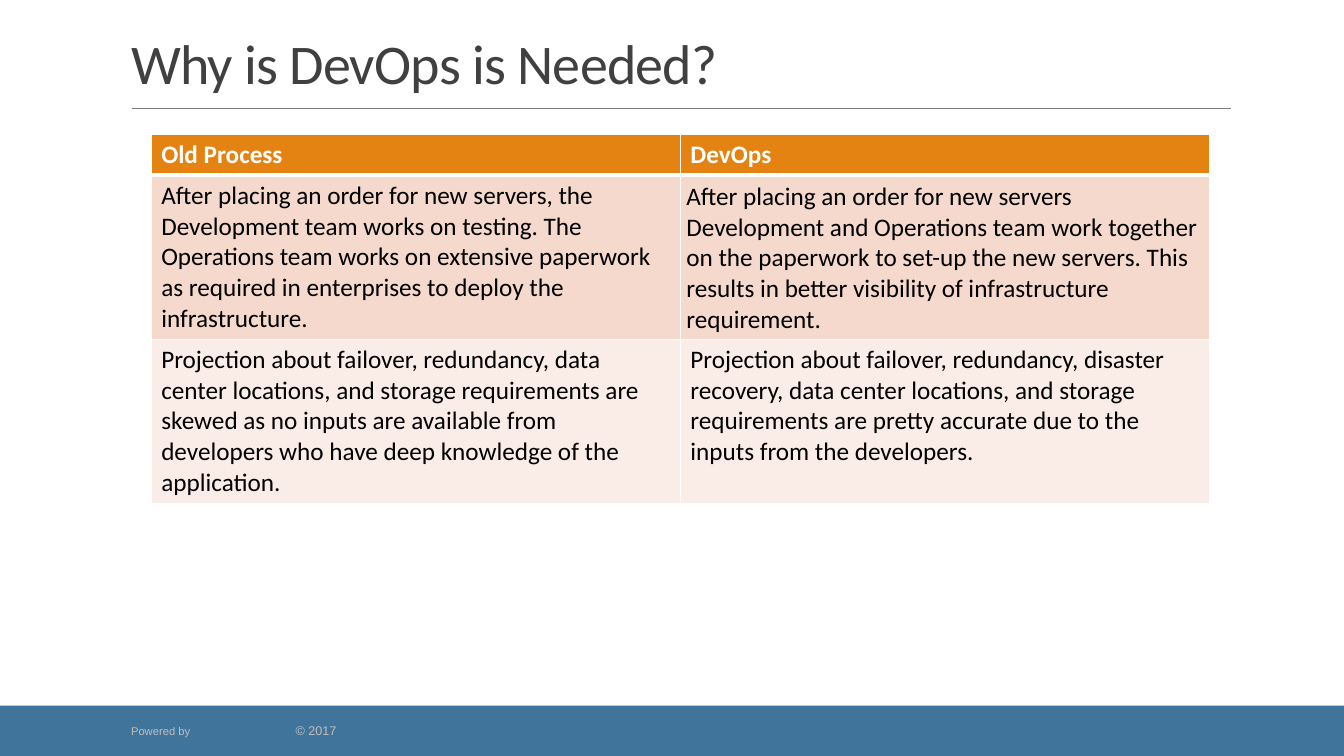
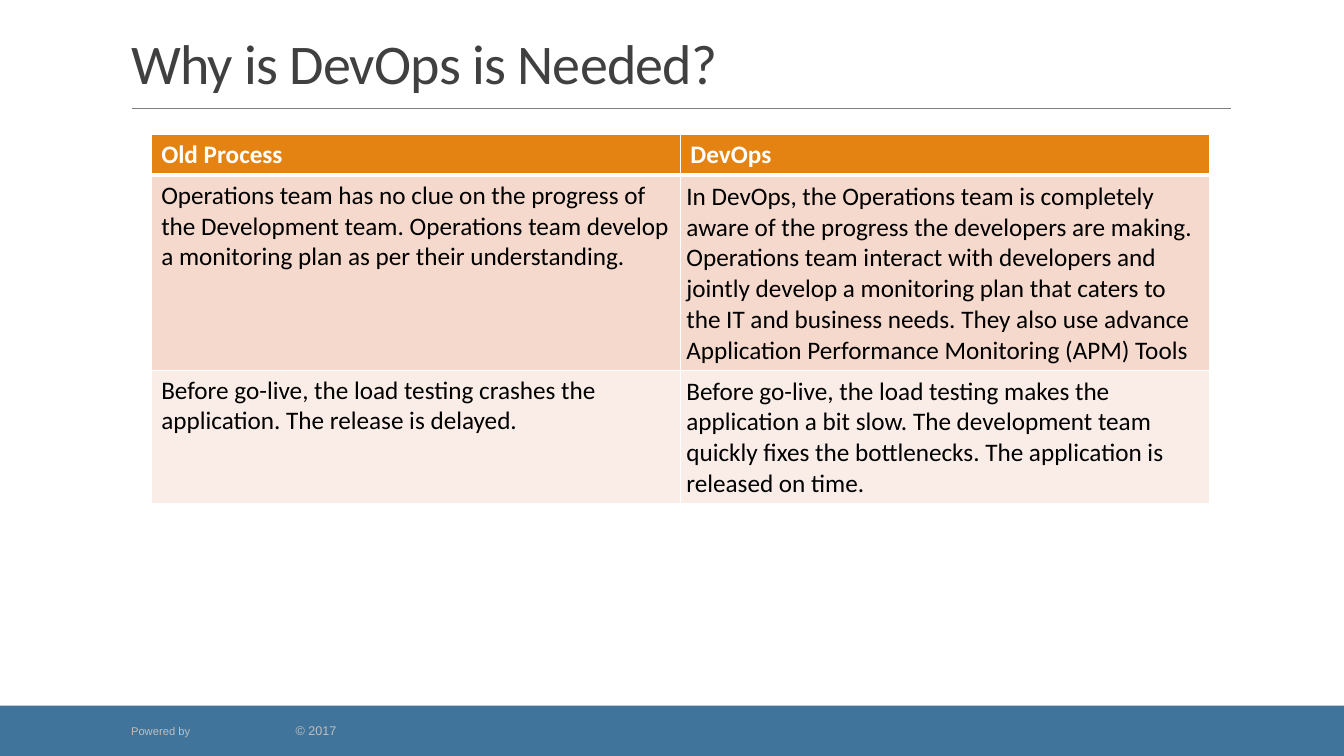
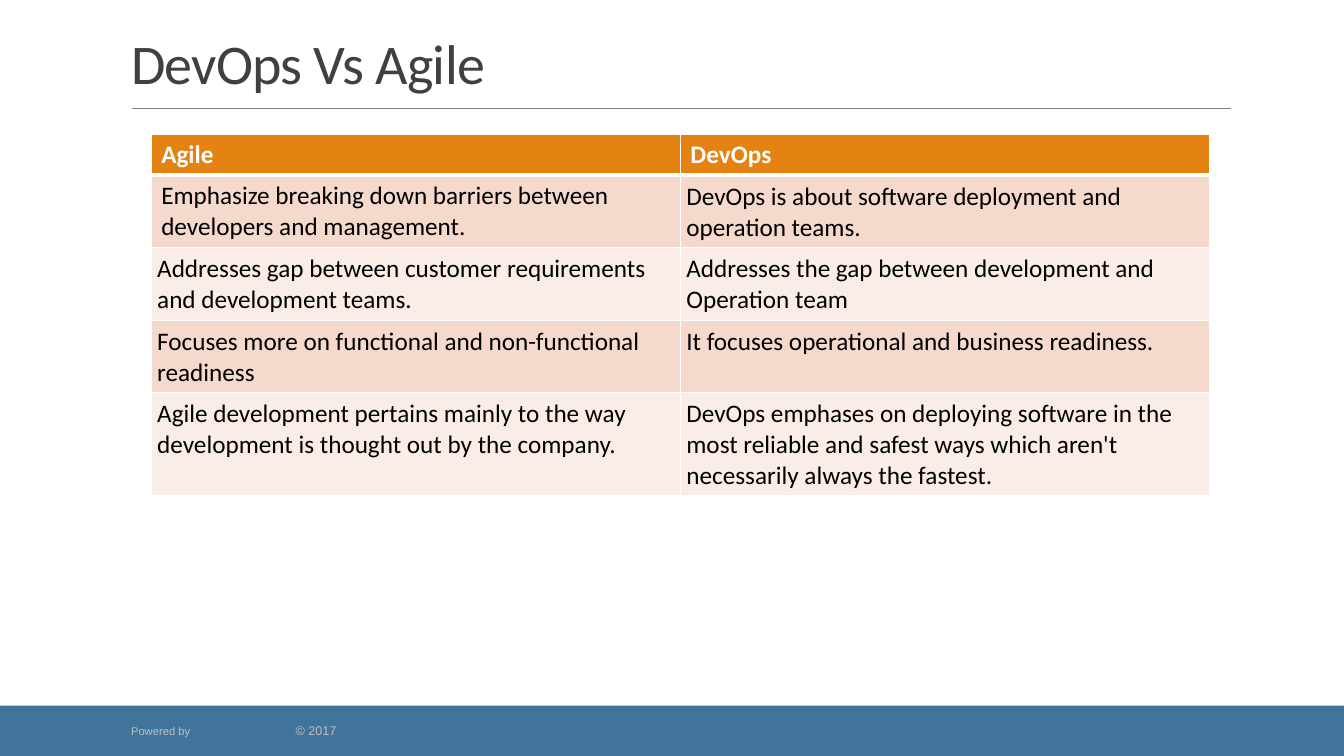
from lxml.etree import SubElement
from pptx import Presentation
from pptx.dml.color import RGBColor
from pptx.enum.shapes import MSO_CONNECTOR, MSO_SHAPE
from pptx.enum.text import MSO_ANCHOR, MSO_AUTO_SIZE, PP_ALIGN
from pptx.oxml.ns import qn
from pptx.util import Pt

SLIDE_WIDTH, SLIDE_HEIGHT = 960, 540
TITLE_BOX = (86.4, 22.3, 792, 49.7)
RULE_BOX = (94.5, 77.75, 784.5, 0)
BAND_BOX = (0, 504, SLIDE_WIDTH, 36)
FOOTER_BOX = (90, 512.8, 223, 18)
TABLE_BOX = (108, 96, 756, 29.2)

WHITE, BLACK = "FFFFFF", "000000"
TITLE_COLOR, RULE_COLOR = "404040", "808080"
BAND_COLOR, FOOTER_COLOR = "40749B", "BFBFBF"
HEADER_FILL = "E48312"
ROW_FILLS = ("F5D9CC", "FAEDE7")

TITLE_FONT = {"name": "Calibri", "size": Pt(40), "bold": False}
HEADER_FONT = {"name": "Calibri", "size": Pt(18), "bold": True}
BODY_FONT = {**HEADER_FONT, "bold": False}
FOOTER_FONT = {"name": "Arial"}
TITLE_FRAME = {"vertical_anchor": MSO_ANCHOR.BOTTOM, "word_wrap": True,
               "auto_size": MSO_AUTO_SIZE.NONE}
TITLE_PARAGRAPH = {"alignment": PP_ALIGN.LEFT, "line_spacing": 0.85}
FOOTER_PARTS = (("Powered by", 8), ("\t© 2017", 9))
FOOTER_TAB = 117.5
LINE_HEIGHT = 22


def margins(horizontal, vertical):
    return {"margin_left": Pt(horizontal), "margin_right": Pt(horizontal),
            "margin_top": Pt(vertical), "margin_bottom": Pt(vertical)}


WIDE = margins(7.2, 3.6)
TIGHT = margins(4.3, 4.3)
FOOTER_FRAME = {"word_wrap": True, "vertical_anchor": MSO_ANCHOR.MIDDLE,
                "auto_size": MSO_AUTO_SIZE.SHAPE_TO_FIT_TEXT, **margins(3.6, 3.6)}

SLIDES = (
    ("Why is DevOps is Needed?", ("Old Process", "DevOps"), (
        (5, (
            ("After placing an order for new servers, the Development team works on testing. "
             "The Operations team works on extensive paperwork as required in enterprises "
             "to deploy the infrastructure.", WIDE),
            ("After placing an order for new servers Development and Operations team work "
             "together on the paperwork to set-up the new servers. This results in better "
             "visibility of infrastructure requirement.", TIGHT))),
        (5, (
            ("Projection about failover, redundancy, data center locations, and storage "
             "requirements are skewed as no inputs are available from developers who have "
             "deep knowledge of the application.", WIDE),
            ("Projection about failover, redundancy, disaster recovery, data center locations, "
             "and storage requirements are pretty accurate due to the inputs from the "
             "developers.", WIDE))),
    )),
    ("Why is DevOps is Needed?", ("Old Process", "DevOps"), (
        (6, (
            ("Operations team has no clue on the progress of the Development team. Operations "
             "team develop a monitoring plan as per their understanding.", WIDE),
            ("In DevOps, the Operations team is completely aware of the progress the developers "
             "are making. Operations team interact with developers and jointly develop a "
             "monitoring plan that caters to the IT and business needs. They also use advance "
             "Application Performance Monitoring (APM) Tools", TIGHT))),
        (4, (
            ("Before go-live, the load testing crashes the application. "
             "The release is delayed.", WIDE),
            ("Before go-live, the load testing makes the application a bit slow. The development "
             "team quickly fixes the bottlenecks. The application is released on time.", TIGHT))),
    )),
    ("DevOps Vs Agile", ("Agile", "DevOps"), (
        (2, (
            ("Emphasize breaking down barriers between developers and management.", WIDE),
            ("DevOps is about software deployment and operation teams.", TIGHT))),
        (2, (
            ("Addresses gap between customer requirements and development teams.", TIGHT),
            ("Addresses the gap between development and Operation team", TIGHT))),
        (2, (
            ("Focuses more on functional and non-functional readiness", TIGHT),
            ("It focuses operational and business readiness.", TIGHT))),
        (3, (
            ("Agile development pertains mainly to the way development is thought out by the "
             "company.", TIGHT),
            ("DevOps emphases on deploying software in the most reliable and safest ways which "
             "aren't necessarily always the fastest.", TIGHT))),
    )),
)


def color(value):
    return RGBColor.from_string(value)


def apply_format(target, values):
    for name, value in values.items():
        setattr(target, name, value)


def add_text(paragraph, text, font_format, font_color):
    run = paragraph.add_run()
    run.text = text
    apply_format(run.font, font_format)
    run.font.color.rgb = color(font_color)
    return run


def place_title(slide, box, text):
    title = slide.shapes.title
    apply_format(title, dict(zip(("left", "top", "width", "height"), map(Pt, box))))
    apply_format(title.text_frame, TITLE_FRAME)
    paragraph = title.text_frame.paragraphs[0]
    apply_format(paragraph, TITLE_PARAGRAPH)
    run = add_text(paragraph, text, TITLE_FONT, TITLE_COLOR)
    run._r.get_or_add_rPr().set("spc", "-50")


def place_rule(slide, box):
    left, top, width, height = box
    rule = slide.shapes.add_connector(MSO_CONNECTOR.STRAIGHT, Pt(left), Pt(top),
                                      Pt(left + width), Pt(top + height))
    rule.line.color.rgb = color(RULE_COLOR)
    rule.line.width = Pt(0.5)
    SubElement(rule._element.spPr, qn("a:effectLst"))


def place_band(slide, box):
    band = slide.shapes.add_shape(MSO_SHAPE.RECTANGLE, *map(Pt, box))
    band.shadow.inherit = False
    band.fill.solid()
    band.fill.fore_color.rgb = color(BAND_COLOR)
    band.line.fill.background()


def place_footer(slide, box):
    frame = slide.shapes.add_textbox(*map(Pt, box)).text_frame
    apply_format(frame, FOOTER_FRAME)
    paragraph = frame.paragraphs[0]
    tab_list = SubElement(paragraph._p.get_or_add_pPr(), qn("a:tabLst"))
    SubElement(tab_list, qn("a:tab"), pos=str(Pt(FOOTER_TAB)), algn="l")
    for text, size in FOOTER_PARTS:
        add_text(paragraph, text, {**FOOTER_FONT, "size": Pt(size)}, FOOTER_COLOR)


def set_borders(cell, widths):
    properties = cell._tc.get_or_add_tcPr()
    for side, width in widths.items():
        line = SubElement(properties, qn(f"a:ln{side}"), w=str(Pt(width)))
        fill = SubElement(line, qn("a:solidFill"))
        SubElement(fill, qn("a:srgbClr"), val=WHITE)


def fill_cell(cell, text, padding, row_index):
    is_header = row_index == 0
    apply_format(cell, padding)
    set_borders(cell, {"L": 1, "R": 1, "T": 3 if row_index == 1 else 1,
                       "B": 3 if is_header else 1})
    cell.fill.solid()
    cell.fill.fore_color.rgb = color(HEADER_FILL if is_header else ROW_FILLS[(row_index - 1) % 2])
    add_text(cell.text_frame.paragraphs[0], text, HEADER_FONT if is_header else BODY_FONT,
             WHITE if is_header else BLACK)


def place_comparison(slide, box, headings, body_rows):
    rows = ((1, tuple((heading, WIDE) for heading in headings)), *body_rows)
    table = slide.shapes.add_table(len(rows), len(headings), *map(Pt, box)).table
    for row_index, (line_count, cells) in enumerate(rows):
        table.rows[row_index].height = Pt(LINE_HEIGHT * line_count + 7.2)
        for column_index, (text, padding) in enumerate(cells):
            fill_cell(table.cell(row_index, column_index), text, padding, row_index)


def build_comparison_slide(presentation, title, headings, body_rows):
    slide = presentation.slides.add_slide(presentation.slide_layouts[5])
    place_band(slide, BAND_BOX)
    place_rule(slide, RULE_BOX)
    place_footer(slide, FOOTER_BOX)
    place_title(slide, TITLE_BOX, title)
    place_comparison(slide, TABLE_BOX, headings, body_rows)


def main():
    presentation = Presentation()
    presentation.slide_width = Pt(SLIDE_WIDTH)
    presentation.slide_height = Pt(SLIDE_HEIGHT)
    for content in SLIDES:
        build_comparison_slide(presentation, *content)
    presentation.save("out.pptx")


if __name__ == "__main__":
    main()
